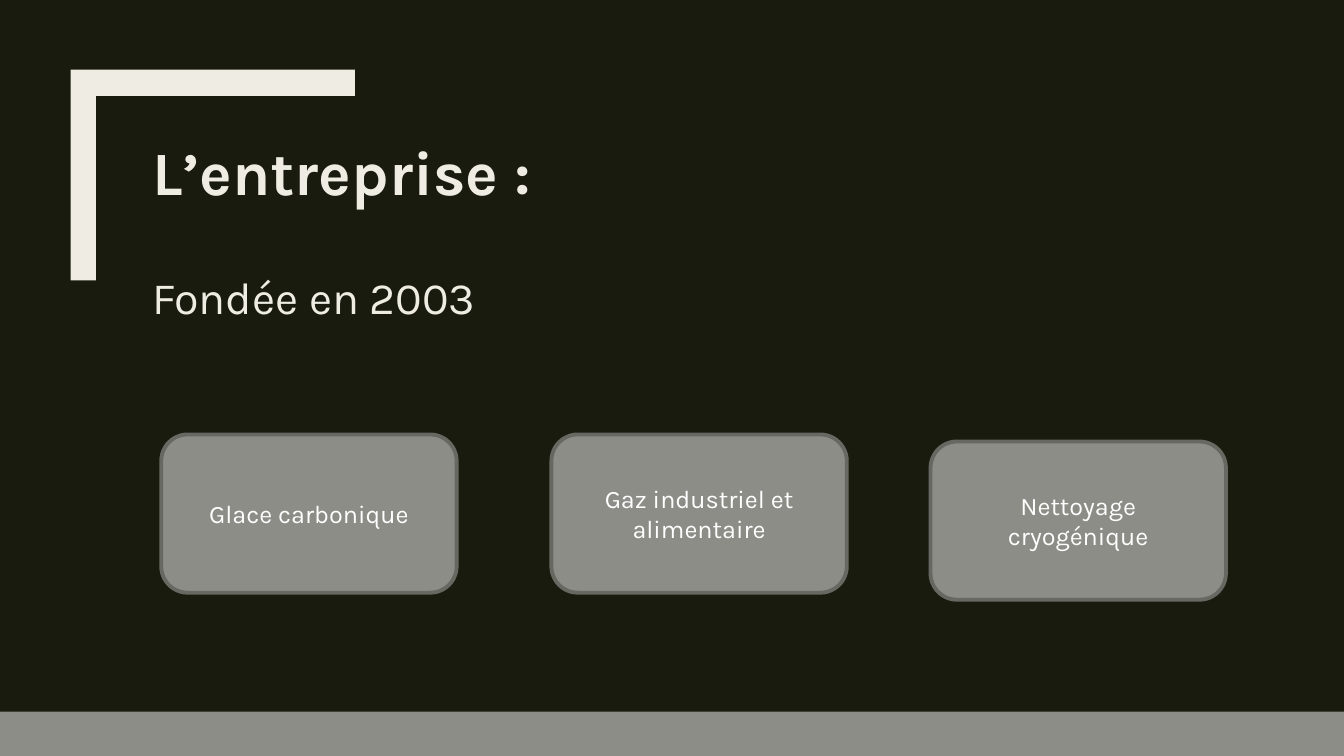
from pptx import Presentation
from pptx import util as u
from pptx.dml.color import RGBColor
from pptx.enum import shapes, text

NIGHT = RGBColor(0x19, 0x1B, 0x0E)
IVORY = RGBColor(0xEF, 0xED, 0xE3)
STONE = RGBColor(0x8C, 0x8D, 0x86)
EDGE = RGBColor(0x68, 0x68, 0x63)
WHITE = RGBColor(0xFF, 0xFF, 0xFF)


def write(para, words, *, size, color, bold=False, font="Karla", align=None, before=0, spacing=1.0):
    para.alignment = align
    para.space_before = u.Pt(before)
    para.line_spacing = spacing
    span = para.add_run()
    span.text = words
    span.font.name = font
    span.font.size = u.Pt(size)
    span.font.bold = bold
    span.font.color.rgb = color


class SlideBuilder:
    def __init__(self, deck):
        self.width, self.height = deck.slide_width, deck.slide_height
        self.page = deck.slides.add_slide(deck.slide_layouts[5])
        fill = self.page.background.fill
        fill.solid()
        fill.fore_color.rgb = NIGHT

    def across(self, percent):
        return round(self.width * percent / 100)

    def down(self, percent):
        return round(self.height * percent / 100)

    def area(self, left, top, width, height):
        return self.across(left), self.down(top), self.across(width), self.down(height)

    def paint(self, shape, fill, line=None):
        shape.shadow.inherit = False
        shape.fill.solid()
        shape.fill.fore_color.rgb = fill
        if line is None:
            shape.line.fill.background()
        else:
            shape.line.color.rgb = line
            shape.line.width = u.Pt(2.75)

    def bracket(self, left, top, right, bottom, stem, beam):
        corners = [(right, top), (right, top + beam), (left + stem, top + beam),
                   (left + stem, bottom), (left, bottom)]
        outline = self.page.shapes.build_freeform(self.across(left), self.down(top))
        outline.add_line_segments([(self.across(x), self.down(y)) for x, y in corners])
        self.paint(outline.convert_to_shape(), IVORY)

    def title(self, heading, subtitle, area):
        box = self.page.shapes.title
        box.left, box.top, box.width, box.height = self.area(*area)
        frame = box.text_frame
        frame.word_wrap = True
        frame.auto_size = text.MSO_AUTO_SIZE.NONE
        frame.vertical_anchor = text.MSO_ANCHOR.TOP
        frame.margin_top = self.down(1.2)
        style = dict(color=IVORY, align=text.PP_ALIGN.LEFT, spacing=0.89)
        write(frame.paragraphs[0], heading, size=44, bold=True, **style)
        write(frame.add_paragraph(), subtitle, size=32, before=48, **style)

    def strip(self, top):
        bar = self.page.shapes.add_shape(
            shapes.MSO_SHAPE.RECTANGLE, *self.area(0, top, 100, 100 - top))
        self.paint(bar, STONE)

    def card(self, lines, left, top, width=21.98, height=20.93):
        box = self.page.shapes.add_shape(
            shapes.MSO_SHAPE.ROUNDED_RECTANGLE, *self.area(left, top, width, height))
        self.paint(box, STONE, EDGE)
        frame = box.text_frame
        frame.word_wrap = True
        frame.vertical_anchor = text.MSO_ANCHOR.MIDDLE
        for index, words in enumerate(lines):
            para = frame.add_paragraph() if index else frame.paragraphs[0]
            write(para, words, size=18, color=WHITE, align=text.PP_ALIGN.CENTER)


def main():
    deck = Presentation()
    deck.slide_width, deck.slide_height = u.Inches(13.33), u.Inches(7.5)
    slide = SlideBuilder(deck)
    slide.bracket(5.25, 9.2, 26.4, 37.07, stem=1.88, beam=3.47)
    slide.title("L’entreprise :", "Fondée en 2003", (10.58, 17.73, 76.14, 58.53))
    slide.strip(94.13)
    activities = [
        (["Glace carbonique"], 12, 57.47),
        (["Gaz industriel et alimentaire"], 41.03, 57.47),
        (["Nettoyage", "cryogénique"], 69.24, 58.4),
    ]
    for lines, left, top in activities:
        slide.card(lines, left, top)
    deck.save("out.pptx")


if __name__ == "__main__":
    main()
